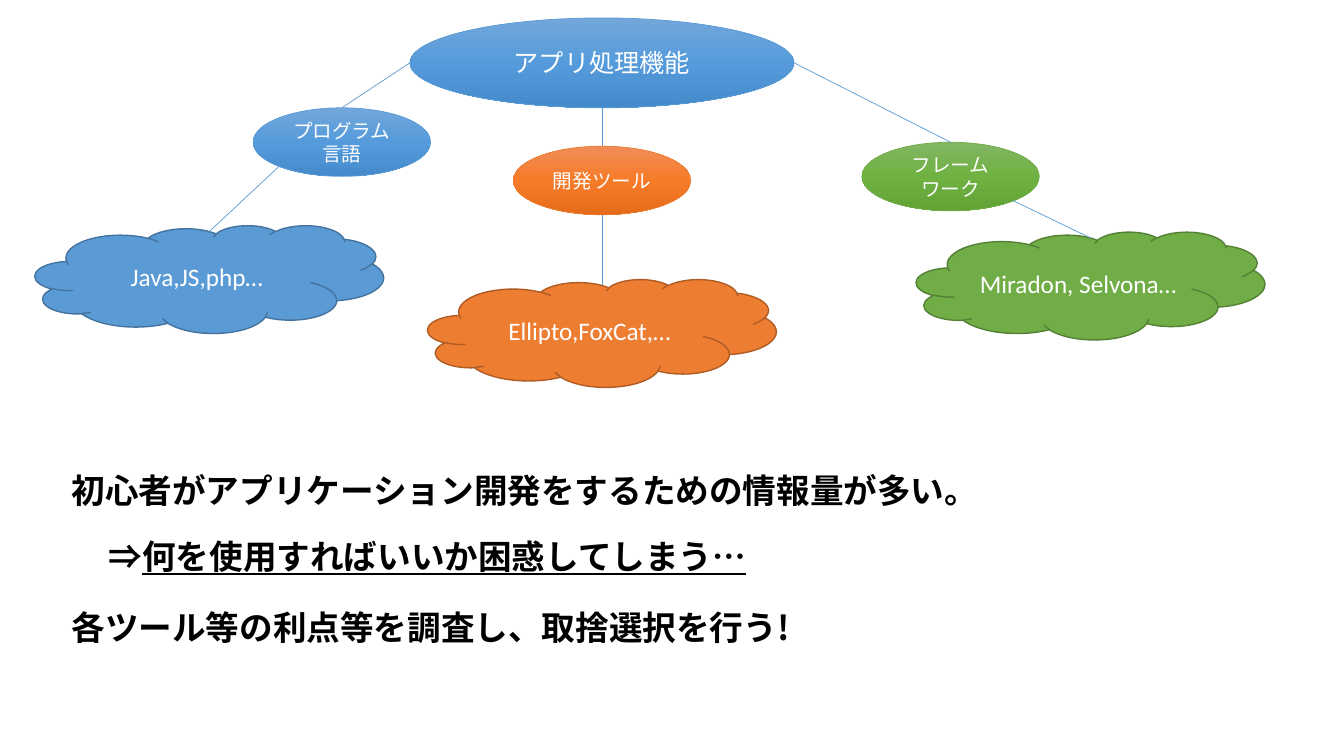
import copy
import math

from pptx import Presentation
from pptx.dml.color import RGBColor
from pptx.enum import lang, shapes, text
from pptx.oxml import ns, xmlchemy
from pptx.util import Pt

WHITE = RGBColor(0xFF, 0xFF, 0xFF)
BLACK = RGBColor(0x00, 0x00, 0x00)
BLUE = RGBColor(0x5B, 0x9B, 0xD5)
BLUE_EDGE = RGBColor(0x43, 0x73, 0x9E)
BLUE_SHADES = [RGBColor.from_string(c) for c in ("73A7DB", "559BDB", "458ACA")]
ORANGE = RGBColor(0xED, 0x7D, 0x31)
ORANGE_EDGE = RGBColor(0xAF, 0x5C, 0x24)
ORANGE_SHADES = [RGBColor.from_string(c) for c in ("F18D59", "F67B28", "E56C19")]
GREEN = RGBColor(0x70, 0xAD, 0x47)
GREEN_EDGE = RGBColor(0x53, 0x80, 0x35)
GREEN_SHADES = [RGBColor.from_string(c) for c in ("82B664", "6FB242", "62A336")]

LATIN, JAPANESE = "Calibri", "Noto Sans CJK JP"
TOPIC_W, TOPIC_H = 126.8, 49
CLOUD_W, CLOUD_H = 249, 77
CLOUD_DIP = 4.4  # depth of the cloud outline at its top centre


def add_run(p, words, *, size, font=LATIN, color=WHITE, bold=False, underline=False):
    """Append a formatted run to a paragraph."""
    r = p.add_run()
    r.text = words
    f = r.font
    f.size, f.name, f.bold, f.underline = Pt(size), font, bold, underline
    f.color.rgb = color
    f.language_id = lang.MSO_LANGUAGE_ID.JAPANESE
    ea = xmlchemy.OxmlElement("a:ea")
    ea.set("typeface", JAPANESE)
    r._r.rPr.find(ns.qn("a:latin")).addnext(ea)


class Diagram:
    """Style and current slide of the tree diagram."""

    def __init__(self, s):
        """Keep the slide to draw on."""
        self.s = s

    def _shape(self, kind, box, words, size, edge, edge_width):
        """Add an outlined shape with centred text."""
        sp = self.s.shapes.add_shape(kind, *map(Pt, box))
        sp.shadow.inherit = False
        sp.line.color.rgb = edge
        sp.line.width = Pt(edge_width)
        tf = sp.text_frame
        tf.word_wrap = True
        tf.vertical_anchor = text.MSO_ANCHOR.MIDDLE
        p = tf.paragraphs[0]
        p.alignment = text.PP_ALIGN.CENTER
        add_run(p, words, size=size)
        return sp

    def ellipse(self, box, words, size, shades, edge):
        """Add an ellipse shaded from top to bottom."""
        sp = self._shape(shapes.MSO_SHAPE.OVAL, box, words, size, edge, 0.5)
        sp.fill.gradient()
        sp.fill.gradient_angle = 270
        first = next(sp._element.spPr.iter(ns.qn("a:gs")))
        first.addnext(copy.deepcopy(first))
        for i, (stop, shade) in enumerate(zip(sp.fill.gradient_stops, shades)):
            stop.position = i / 2
            stop.color.rgb = shade

    def cloud(self, box, words, color, edge):
        """Add a plain filled cloud."""
        sp = self._shape(shapes.MSO_SHAPE.CLOUD, box, words, 18, edge, 1)
        sp.fill.solid()
        sp.fill.fore_color.rgb = color

    def link(self, start, end):
        """Add a thin straight line between two points."""
        cx = self.s.shapes.add_connector(
            shapes.MSO_CONNECTOR.STRAIGHT, *map(Pt, start + end))
        cx.line.color.rgb = BLUE
        cx.line.width = Pt(0.5)
        cx._element.spPr.append(xmlchemy.OxmlElement("a:effectLst"))

    def statement(self, left, top, width, *parts):
        """Add a bold line made of (words, underline) parts."""
        sp = self.s.shapes.add_textbox(Pt(left), Pt(top), Pt(width), Pt(36))
        tf = sp.text_frame
        tf.word_wrap = False
        tf.auto_size = text.MSO_AUTO_SIZE.SHAPE_TO_FIT_TEXT
        for words, underline in parts:
            add_run(tf.paragraphs[0], words, size=24, font=JAPANESE,
                    color=BLACK, bold=True, underline=underline)


def main():
    """Build the slide and save it."""
    prs = Presentation()
    prs.slide_width, prs.slide_height = Pt(960), Pt(540)
    d = Diagram(prs.slides.add_slide(prs.slide_layouts[6]))

    left, top, width, height = root = (292.8, 12.8, 274.4, 64.2)
    middle = top + height / 2
    d.ellipse(root, "アプリ処理機能", 18, BLUE_SHADES, BLUE)

    # Each branch: side of the root, topic, its position, cloud, its position
    branches = [
        (-1, "プログラム言語", (180.8, 77), BLUE_SHADES,
         "Java,JS,php…", (25, 161), BLUE, BLUE_EDGE),
        (0, "開発ツール", (366.6, 104.4), ORANGE_SHADES,
         "Ellipto,FoxCat,…", (305.5, 199.5), ORANGE, ORANGE_EDGE),
        (1, "フレームワーク", (615.6, 101.6), GREEN_SHADES,
         "Miradon, Selvona…", (654.5, 165.6), GREEN, GREEN_EDGE),
    ]
    for side, topic, (x, y), shades, tools, (cx, cy), color, edge in branches:
        d.ellipse((x, y, TOPIC_W, TOPIC_H), topic, 14, shades, color)
        d.cloud((cx, cy, CLOUD_W, CLOUD_H), tools, color, edge)
        centre = x + TOPIC_W / 2
        root_y = middle if side else top + height
        d.link((left + width * (1 + side) / 2, root_y), (centre, y))
        angle = side * math.pi / 4
        exit_point = (centre + TOPIC_W / 2 * math.sin(angle),
                      y + TOPIC_H / 2 * (1 + math.cos(angle)))
        d.link(exit_point, (cx + CLOUD_W / 2, cy + CLOUD_DIP))

    d.statement(44, 332, 672,
                ("初心者がアプリケーション開発をするための情報量が多い。", False))
    d.statement(70.6, 379, 477,
                ("⇒", False), ("何を使用すればいいか困惑してしまう…", True))
    d.statement(44, 430, 538,
                ("各ツール等の利点等を調査し、取捨選択を行う!", False))

    prs.save("out.pptx")


main()
